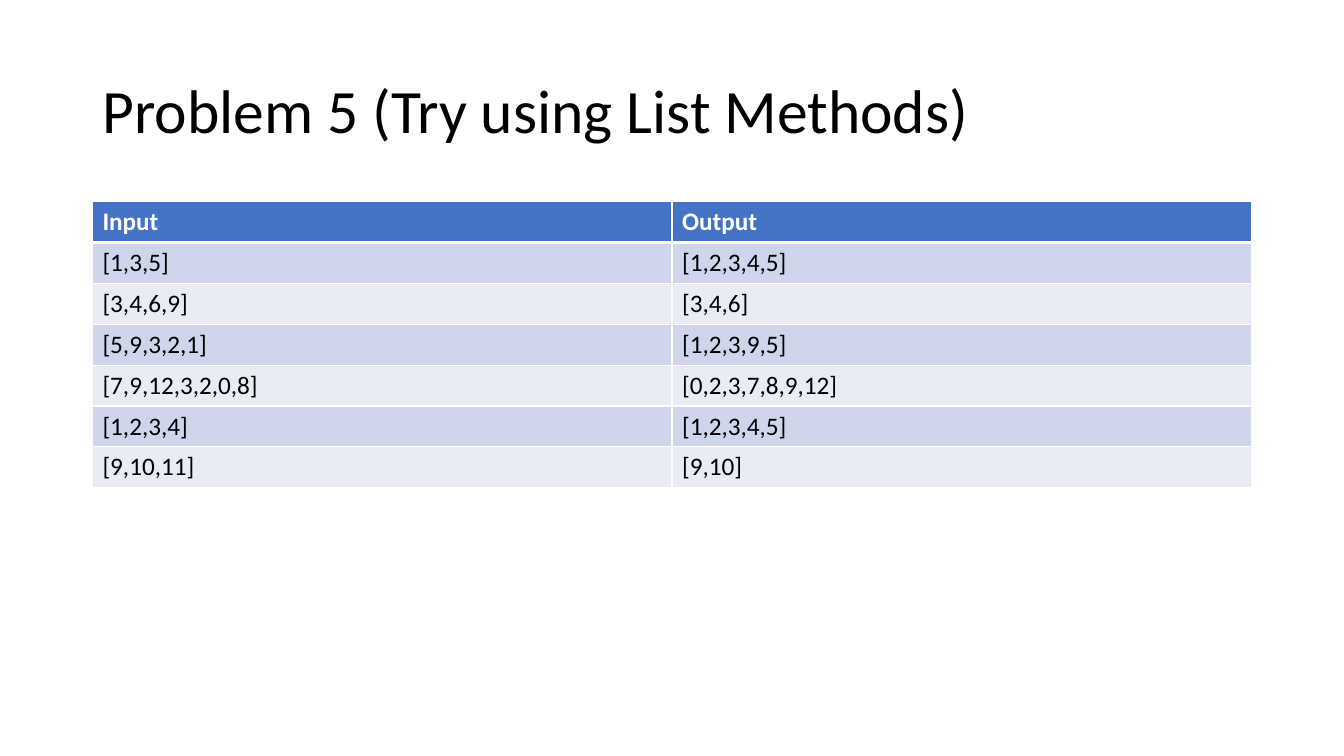
from lxml import etree
from pptx import Presentation
from pptx.dml.color import RGBColor
from pptx.enum import text as t
from pptx.oxml import ns
from pptx.util import Cm, Pt

FONT = "Calibri"
BLACK = RGBColor(0x00, 0x00, 0x00)
WHITE = RGBColor(0xFF, 0xFF, 0xFF)
HEADER_BLUE = RGBColor(0x44, 0x72, 0xC4)
BAND_DARK = RGBColor(0xCF, 0xD5, 0xEA)
BAND_LIGHT = RGBColor(0xE9, 0xEB, 0xF5)

EXAMPLES = [
    ("Input", "Output"),
    ("[1,3,5]", "[1,2,3,4,5]"),
    ("[3,4,6,9]", "[3,4,6]"),
    ("[5,9,3,2,1]", "[1,2,3,9,5]"),
    ("[7,9,12,3,2,0,8]", "[0,2,3,7,8,9,12]"),
    ("[1,2,3,4]", "[1,2,3,4,5]"),
    ("[9,10,11]", "[9,10]"),
]


def write(frame, wording, size=18, color=BLACK, bold=False, spacing=1.0):
    frame.text = wording
    paragraph = frame.paragraphs[0]
    paragraph.alignment = t.PP_ALIGN.LEFT
    paragraph.line_spacing = spacing
    font = paragraph.runs[0].font
    font.name, font.size, font.bold = FONT, Pt(size), bold
    font.color.rgb = color


def add_borders(cell, **widths):
    """Draw white borders; widths in points by side (L, R, T, B)."""
    properties = cell._tc.get_or_add_tcPr()
    for side, width in widths.items():
        line = etree.SubElement(properties, ns.qn(f"a:ln{side}"), w=str(Pt(width)))
        fill = etree.SubElement(line, ns.qn("a:solidFill"))
        etree.SubElement(fill, ns.qn("a:srgbClr"), val=str(WHITE))


def place_title(slide, left, top, width, height):
    title = slide.shapes.title
    title.left, title.top, title.width, title.height = left, top, width, height
    frame = title.text_frame
    frame.word_wrap = True
    frame.auto_size = t.MSO_AUTO_SIZE.NONE
    frame.vertical_anchor = t.MSO_ANCHOR.MIDDLE
    write(frame, "Problem 5 (Try using List Methods)", size=44, spacing=0.9)


def place_examples(slide, left, top, width, height):
    examples = slide.shapes.add_table(
        len(EXAMPLES), len(EXAMPLES[0]), left, top, width, height).table
    for r, values in enumerate(EXAMPLES):
        header = r == 0
        band = HEADER_BLUE if header else BAND_DARK if r % 2 else BAND_LIGHT
        for c, value in enumerate(values):
            cell = examples.cell(r, c)
            write(cell.text_frame, value,
                  color=WHITE if header else BLACK, bold=header)
            add_borders(cell, L=1, R=1, T=3 if r == 1 else 1, B=3 if header else 1)
            cell.fill.solid()
            cell.fill.fore_color.rgb = band


def main():
    deck = Presentation()
    deck.slide_width, deck.slide_height = Cm(33.87), Cm(19.05)
    slide = deck.slides.add_slide(deck.slide_layouts[5])
    left, width = Cm(2.33), Cm(29.21)

    # Title
    place_title(slide, left, Cm(1.01), width, Cm(3.68))
    # Input and output examples
    place_examples(slide, left, Cm(5.08), width, Cm(7.21))

    deck.save("out.pptx")


if __name__ == "__main__":
    main()
